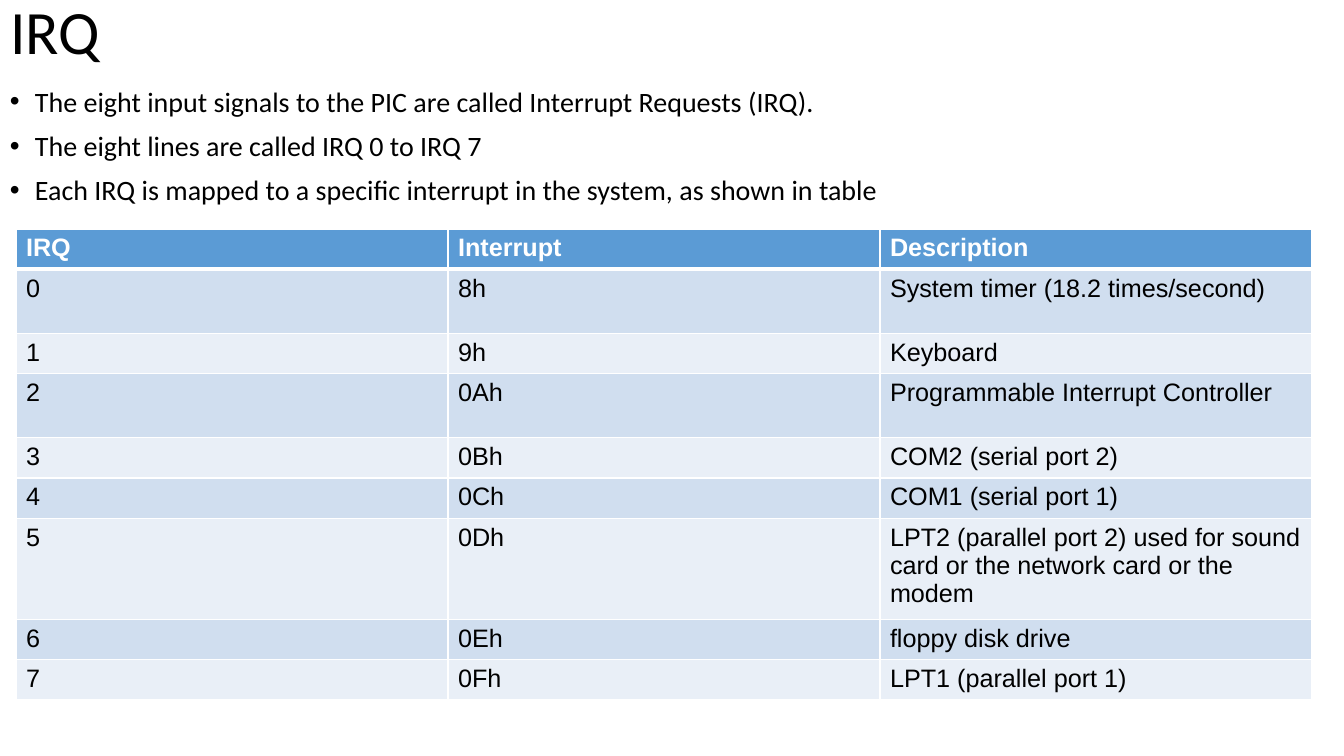
from lxml import etree
from pptx import Presentation
from pptx import util as u
from pptx.dml.color import RGBColor
from pptx.enum import text
from pptx.oxml import ns

BLACK = RGBColor(0x00, 0x00, 0x00)
WHITE = RGBColor(0xFF, 0xFF, 0xFF)
HEADER_BLUE = RGBColor(0x5B, 0x9B, 0xD5)
BAND_DARK = RGBColor(0xD0, 0xDE, 0xEF)
BAND_LIGHT = RGBColor(0xE9, 0xEF, 0xF7)

BULLETS = [
    "The eight input signals to the PIC are called Interrupt Requests (IRQ).",
    "The eight lines are called IRQ 0 to IRQ 7",
    "Each IRQ is mapped to a specific interrupt in the system, as shown in table",
]
# Each row: height in px, then the cell texts
ROWS = [
    (38, "IRQ", "Interrupt", "Description"),
    (64, "0", "8h", "System timer (18.2 times/second)"),
    (38, "1", "9h", "Keyboard"),
    (64, "2", "0Ah", "Programmable Interrupt Controller"),
    (38, "3", "0Bh", "COM2 (serial port 2)"),
    (38, "4", "0Ch", "COM1 (serial port 1)"),
    (95, "5", "0Dh", "LPT2 (parallel port 2) used for sound card or the network card or the modem"),
    (38, "6", "0Eh", "floppy disk drive"),
    (38, "7", "0Fh", "LPT1 (parallel port 1)"),
]
COLUMN_WIDTH = 432


def px(length):
    return u.Emu(round(length * 914400 / 100.8))


def set_font(paragraph, name, size, color, bold=False):
    font = paragraph.font
    font.name, font.size, font.bold = name, u.Pt(size), bold
    font.color.rgb = color


presentation = Presentation()
presentation.slide_width, presentation.slide_height = px(1344), px(756)
slide = presentation.slides.add_slide(presentation.slide_layouts[5])

# Title
title = slide.shapes.title
title.left, title.top, title.width, title.height = px(0), px(-38), px(1159), px(146)
title.text_frame.text = "IRQ"
title.text_frame.auto_size = text.MSO_AUTO_SIZE.NONE
title.text_frame.vertical_anchor = text.MSO_ANCHOR.MIDDLE
paragraph = title.text_frame.paragraphs[0]
paragraph.alignment = text.PP_ALIGN.LEFT
paragraph.line_spacing = 0.9
set_font(paragraph, "Calibri", 44, BLACK)

# Bullet list
body = slide.shapes.add_textbox(px(0), px(83), px(1159), px(480))
body.text_frame.word_wrap = True
body.text_frame.text = "\n".join(BULLETS)
for index, paragraph in enumerate(body.text_frame.paragraphs):
    properties = paragraph._p.get_or_add_pPr()
    properties.set("marL", str(px(25)))
    properties.set("indent", str(px(-25)))
    etree.SubElement(properties, ns.qn("a:buFont")).set("typeface", "Arial")
    etree.SubElement(properties, ns.qn("a:buChar")).set("char", "•")
    paragraph.line_spacing = 0.9
    if index:
        paragraph.space_before = u.Pt(10)
    set_font(paragraph, "Calibri", 20, BLACK)

# Interrupt table
table_height = sum(row[0] for row in ROWS)
table = slide.shapes.add_table(
    len(ROWS), 3, px(16), px(229), px(3 * COLUMN_WIDTH), px(table_height)).table
for column in table.columns:
    column.width = px(COLUMN_WIDTH)

for row_index, (height, *labels) in enumerate(ROWS):
    table.rows[row_index].height = px(height)
    is_header = row_index == 0
    fill = HEADER_BLUE if is_header else BAND_DARK if row_index % 2 else BAND_LIGHT
    border_widths = {
        "a:lnL": 1,
        "a:lnR": 1,
        "a:lnT": 3 if row_index == 1 else 1,
        "a:lnB": 3 if is_header else 1,
    }
    for column_index, label in enumerate(labels):
        cell = table.cell(row_index, column_index)
        cell.text = label
        set_font(cell.text_frame.paragraphs[0], "Arial", 18,
                 WHITE if is_header else BLACK, is_header)
        # Borders come before the fill in the cell properties
        cell_properties = cell._tc.get_or_add_tcPr()
        for tag, width in border_widths.items():
            line = etree.SubElement(cell_properties, ns.qn(tag), w=str(u.Pt(width)))
            solid = etree.SubElement(line, ns.qn("a:solidFill"))
            etree.SubElement(solid, ns.qn("a:srgbClr"), val=str(WHITE))
        cell.fill.solid()
        cell.fill.fore_color.rgb = fill

presentation.save("out.pptx")
